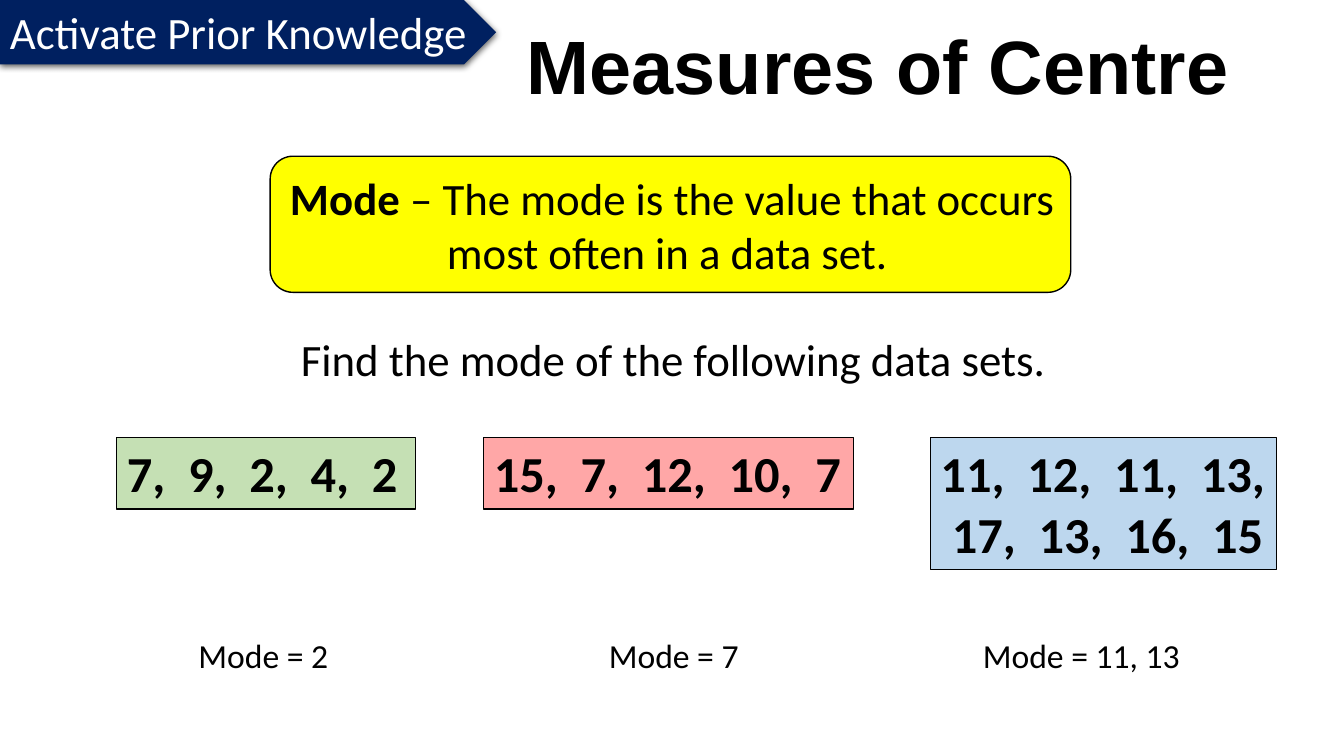
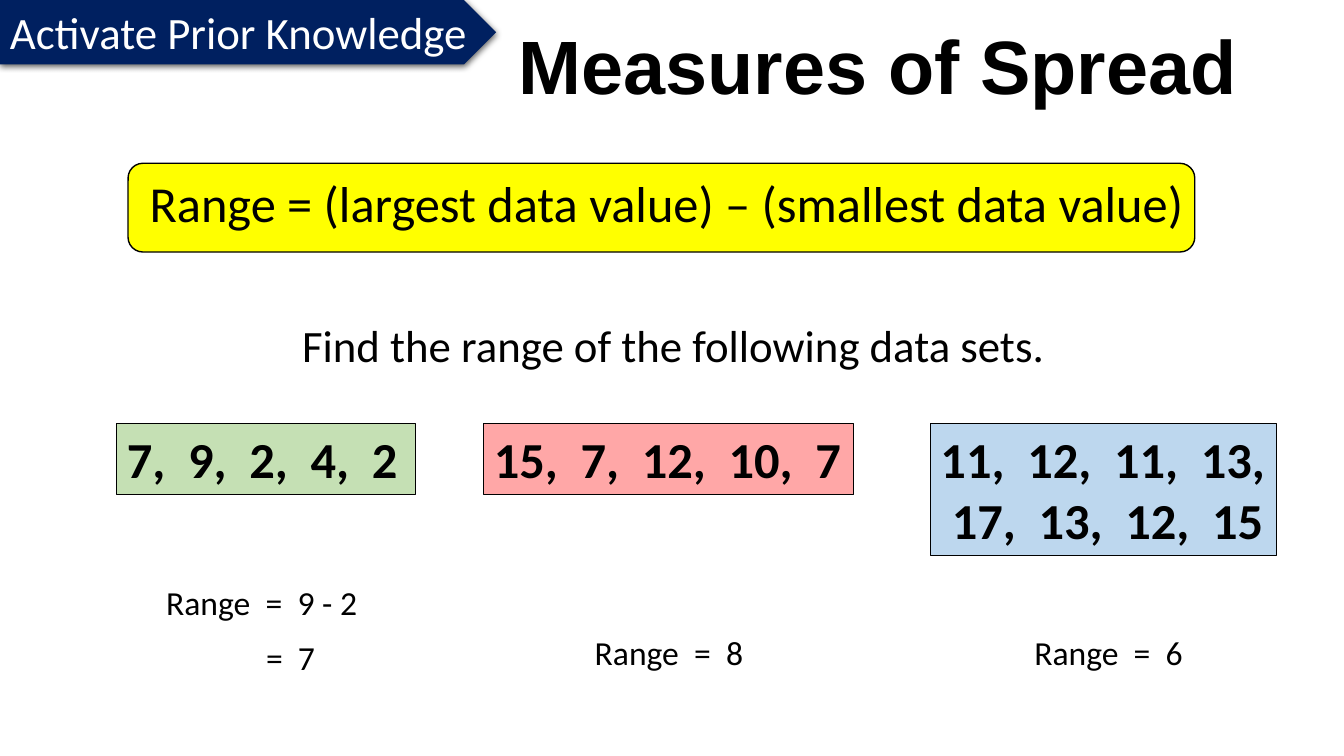
from lxml import etree
from pptx import Presentation
from pptx.dml.color import RGBColor
from pptx.enum.shapes import MSO_SHAPE as SHAPE
from pptx.enum.text import MSO_ANCHOR as ANCHOR, MSO_AUTO_SIZE as AUTO, PP_ALIGN as ALIGN
from pptx.oxml import parse_xml
from pptx.oxml.ns import nsdecls, qn
from pptx.util import Emu, Pt

PX = 9144  # 100 px to the inch
BLACK, WHITE, NAVY, YELLOW = "000000", "FFFFFF", "002060", "FFFF00"
SET_BOXES = [  # left, width, height, fill
    (116, 296, 71, "C5E0B4"),
    (480, 367, 71, "FFA7A7"),
    (923, 343, 131, "BDD7EE"),
]


def px(n):
    return Emu(n * PX)


def rgb(value):
    return RGBColor.from_string(value)


def write(s, runs, size, color=BLACK, font="Calibri", align=ALIGN.LEFT,
          anchor=ANCHOR.TOP, wrap=True, grow=True):
    """Fill a shape with one paragraph made of (text, bold) runs."""
    tf = s.text_frame
    tf.word_wrap = wrap
    tf.auto_size = AUTO.SHAPE_TO_FIT_TEXT if grow else AUTO.NONE
    tf.vertical_anchor = anchor
    p = tf.paragraphs[0]
    p.alignment = align
    for text, bold in runs:
        r = p.add_run()
        r.text = text
        r.font.name, r.font.size, r.font.bold = font, Pt(size), bold
        r.font.color.rgb = rgb(color)
    return p


def add_text(slide, box, text, size, bold=False, **style):
    s = slide.shapes.add_textbox(*map(px, box))
    return write(s, [(text, bold)], size, **style)


def add_box(slide, kind, box, fill, line=None):
    s = slide.shapes.add_shape(kind, *map(px, box))
    s.shadow.inherit = False
    s.fill.solid()
    s.fill.fore_color.rgb = rgb(fill)
    if line:
        s.line.color.rgb = rgb(BLACK)
        s.line.width = Pt(line)
    else:
        s.line.fill.background()
    return s


def add_drop_shadow(s):
    effects = s._element.spPr.find(qn("a:effectLst"))
    shadow = parse_xml(
        f'<a:outerShdw {nsdecls("a")} blurRad="{Pt(4.5)}" dist="{Pt(1.5)}" dir="5400000" '
        'algn="ctr" rotWithShape="0"/>')
    color = etree.SubElement(shadow, qn("a:srgbClr"), val=BLACK)
    etree.SubElement(color, qn("a:alpha"), val="63000")
    effects.append(shadow)


def add_header(slide, title):
    p = add_text(slide, (418, 24, 905, 145), title, 54, bold=True, font="Arial",
                 align=ALIGN.CENTER, grow=False)
    p.line_spacing = 0.9
    tag = add_box(slide, SHAPE.PENTAGON, (0, 0, 492, 64), NAVY)
    add_drop_shadow(tag)
    write(tag, [("Activate Prior Knowledge", False)], 32, color=WHITE, wrap=False)


def add_definition(slide, box, runs, size, align, left=0, bottom=0):
    """Yellow rounded box; left and bottom are its text margins."""
    s = add_box(slide, SHAPE.ROUNDED_RECTANGLE, box, YELLOW, line=1)
    tf = s.text_frame
    tf.margin_left, tf.margin_bottom = px(left), px(bottom)
    tf.margin_right = tf.margin_top = 0
    write(s, runs, size, align=align, anchor=ANCHOR.MIDDLE, grow=False)


def add_exercise(slide, top, measure, data_sets, answers):
    """Question, row of data sets below it, and answers at (left, top, width)."""
    add_text(slide, (273, top, 790, 64), f"Find the {measure} of the following data sets.",
             32, align=ALIGN.CENTER)
    for (left, width, height, fill), values in zip(SET_BOXES, data_sets):
        s = add_box(slide, SHAPE.RECTANGLE, (left, top + 110, width, height), fill, line=0.75)
        write(s, [(",  ".join(map(str, values)), True)], 36)
    for left, answer_top, width, text in answers:
        add_text(slide, (left, answer_top, width, 50), text, 24)


def build_mode_slide(slide):
    add_definition(slide, (268, 155, 794, 135),
                   [("Mode ", True),
                    ("– The mode is the value that occurs most often in a data set. ", False)],
                   32, ALIGN.CENTER, left=4)
    add_exercise(slide, 324, "mode",
                 [(7, 9, 2, 4, 2), (15, 7, 12, 10, 7), (11, 12, 11, 13, 17, 13, 16, 15)],
                 [(187, 625, 154, "Mode = 2"),
                  (594, 625, 169, "Mode = 7"),
                  (965, 625, 278, "Mode = 11, 13")])
    add_header(slide, "Measures of Centre")


def build_range_slide(slide):
    add_definition(slide, (127, 162, 1058, 88),
                   [("Range = (largest data value) – (smallest data value)", False)],
                   36, ALIGN.LEFT, left=17, bottom=10)
    add_exercise(slide, 310, "range",
                 [(7, 9, 2, 4, 2), (15, 7, 12, 10, 7), (11, 12, 11, 13, 17, 13, 12, 15)],
                 [(155, 572, 220, "Range  =  9 - 2"),
                  (254, 627, 92, "=  7"),
                  (580, 622, 178, "Range  =  8"),
                  (1016, 622, 178, "Range  =  6")])
    add_header(slide, "Measures of Spread")


def main():
    prs = Presentation()
    prs.slide_width, prs.slide_height = px(1333), px(750)
    for build in (build_mode_slide, build_range_slide):
        build(prs.slides.add_slide(prs.slide_layouts[6]))
    prs.save("out.pptx")


if __name__ == "__main__":
    main()
